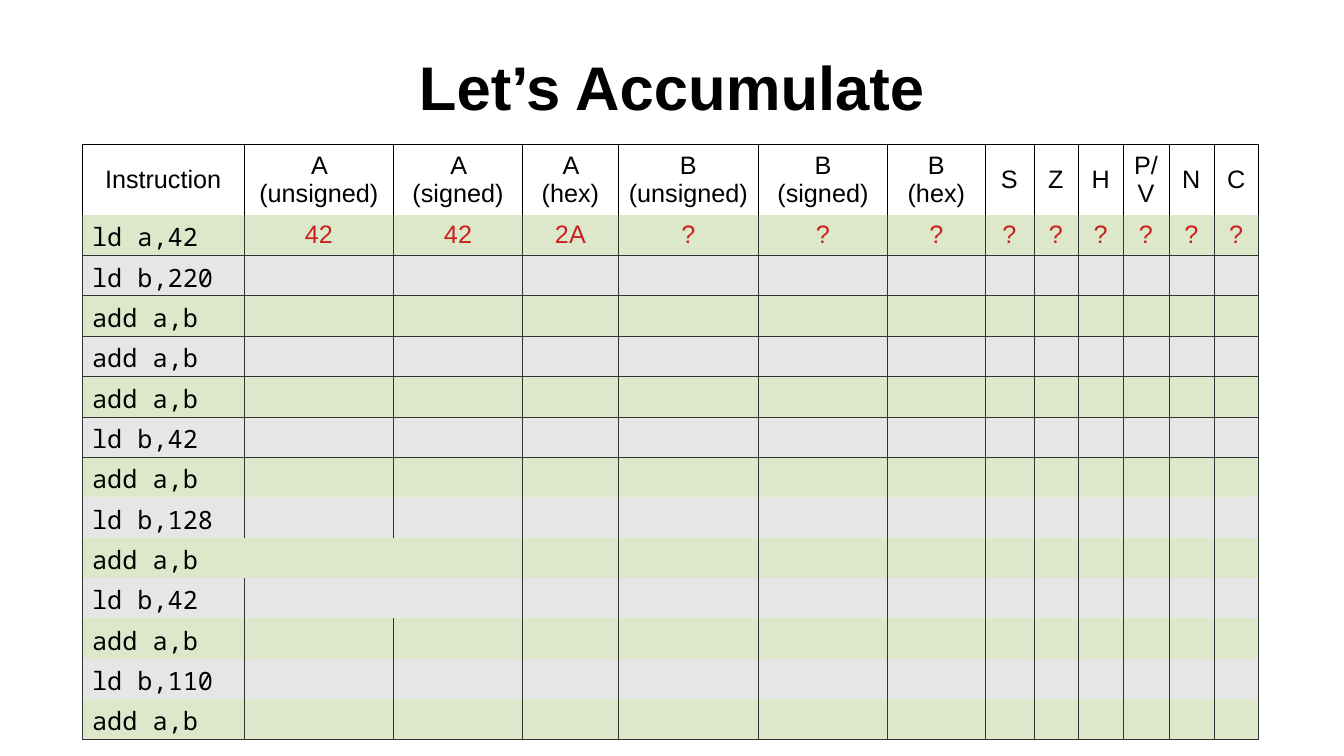
from dataclasses import dataclass

from lxml import etree
from pptx import Presentation
from pptx import util as u
from pptx.dml.color import RGBColor
from pptx.enum import text
from pptx.oxml import ns

BLACK = RGBColor(0x00, 0x00, 0x00)
CHARCOAL = RGBColor(0x33, 0x33, 0x33)
RED = RGBColor(0xC9, 0x21, 0x1E)
WHITE = RGBColor(0xFF, 0xFF, 0xFF)
GREEN = RGBColor(0xDD, 0xE8, 0xCB)
GREY = RGBColor(0xE6, 0xE6, 0xE6)

SANS, MONO = "Arial", "Noto Sans Mono"
HEADER_HEIGHT, ROW_HEIGHT, BORDER = u.Pt(47.5), u.Pt(28.1), u.Pt(0.06)


@dataclass(frozen=True)
class Column:
    heading: str
    width: float
    start: str = "?"


@dataclass(frozen=True)
class Style:
    font: str
    size: float
    color: RGBColor
    align: text.PP_ALIGN
    anchor: text.MSO_ANCHOR
    bold: bool = False


COLUMNS = [
    Column("Instruction", 115.9),
    Column("A (unsigned)", 106.6, "42"),
    Column("A (signed)", 92.2, "42"),
    Column("A (hex)", 68.4, "2A"),
    Column("B (unsigned)", 100.1),
    Column("B (signed)", 92.2),
    Column("B (hex)", 69.8),
    Column("S", 34.6),
    Column("Z", 31.7),
    Column("H", 32.4),
    Column("P/V", 32.4),
    Column("N", 32.4),
    Column("C", 31.7),
]
PROGRAM = [
    "ld a,42", "ld b,220", "add a,b", "add a,b", "add a,b", "ld b,42", "add a,b",
    "ld b,128", "add a,b", "ld b,42", "add a,b", "ld b,110", "add a,b",
]
RULES = {0, 2, 3, 4, 5, 6, 7, len(PROGRAM) + 1}
OPEN_SIDES = {(9, 1), (9, 2), (10, 2)}

CENTER, MIDDLE = text.PP_ALIGN.CENTER, text.MSO_ANCHOR.MIDDLE
TITLE = Style(SANS, 44, BLACK, CENTER, MIDDLE, True)
HEADING = Style(SANS, 18, BLACK, CENTER, MIDDLE)
VALUE = Style(SANS, 18, RED, CENTER, MIDDLE)
CODE = Style(MONO, 18, BLACK, text.PP_ALIGN.LEFT, text.MSO_ANCHOR.BOTTOM)


def write(tf, content: str, style: Style) -> None:
    p = tf.paragraphs[0]
    p.alignment = style.align
    r = p.add_run()
    r.text = content
    r.font.name = style.font
    r.font.size = u.Pt(style.size)
    r.font.bold = style.bold
    r.font.color.rgb = style.color


def add_edge(tc_pr, side: str, color: RGBColor, shown: bool) -> None:
    ln = etree.SubElement(tc_pr, ns.qn(f"a:ln{side}"), w=str(BORDER))
    if shown:
        fill = etree.SubElement(ln, ns.qn("a:solidFill"))
        etree.SubElement(fill, ns.qn("a:srgbClr"), val=str(color))
    else:
        etree.SubElement(ln, ns.qn("a:noFill"))


def format_cell(cell, row: int, col: int) -> None:
    tc_pr = cell._tc.get_or_add_tcPr()
    color = CHARCOAL if row else BLACK
    add_edge(tc_pr, "L", color, (row, col) not in OPEN_SIDES)
    add_edge(tc_pr, "R", color, (row, col + 1) not in OPEN_SIDES)
    add_edge(tc_pr, "T", color, row in RULES)
    add_edge(tc_pr, "B", color, row + 1 in RULES)
    cell.fill.solid()
    cell.fill.fore_color.rgb = WHITE if row == 0 else GREEN if row % 2 else GREY


def fill_cell(cell, content: str, style: Style) -> None:
    cell.vertical_anchor = style.anchor
    write(cell.text_frame, content, style)


def add_title(s) -> None:
    sp = s.shapes.title
    sp.left, sp.top, sp.width, sp.height = map(u.Pt, (66, 9, 828, 104))
    tf = sp.text_frame
    tf.margin_left = tf.margin_top = tf.margin_right = tf.margin_bottom = 0
    tf.word_wrap = True
    tf.auto_size = text.MSO_AUTO_SIZE.SHAPE_TO_FIT_TEXT
    tf.vertical_anchor = TITLE.anchor
    write(tf, "Let’s Accumulate", TITLE)


def add_register_table(s) -> None:
    width = u.Pt(sum(c.width for c in COLUMNS))
    height = HEADER_HEIGHT + len(PROGRAM) * ROW_HEIGHT
    frame = s.shapes.add_table(
        len(PROGRAM) + 1, len(COLUMNS), u.Pt(58.6), u.Pt(103), width, height)
    table = frame.table
    table.first_row = table.horz_banding = False
    for row, line in enumerate(table.rows):
        line.height = ROW_HEIGHT if row else HEADER_HEIGHT
        for col, cell in enumerate(line.cells):
            format_cell(cell, row, col)
    for col, column in enumerate(COLUMNS):
        table.columns[col].width = u.Pt(column.width)
        fill_cell(table.cell(0, col), column.heading, HEADING)
        if col:
            fill_cell(table.cell(1, col), column.start, VALUE)
    for row, instruction in enumerate(PROGRAM, 1):
        fill_cell(table.cell(row, 0), instruction, CODE)


def main() -> None:
    prs = Presentation()
    prs.slide_width, prs.slide_height = u.Pt(960), u.Pt(540)
    s = prs.slides.add_slide(prs.slide_layouts[5])
    add_title(s)
    add_register_table(s)
    prs.save("out.pptx")


if __name__ == "__main__":
    main()
